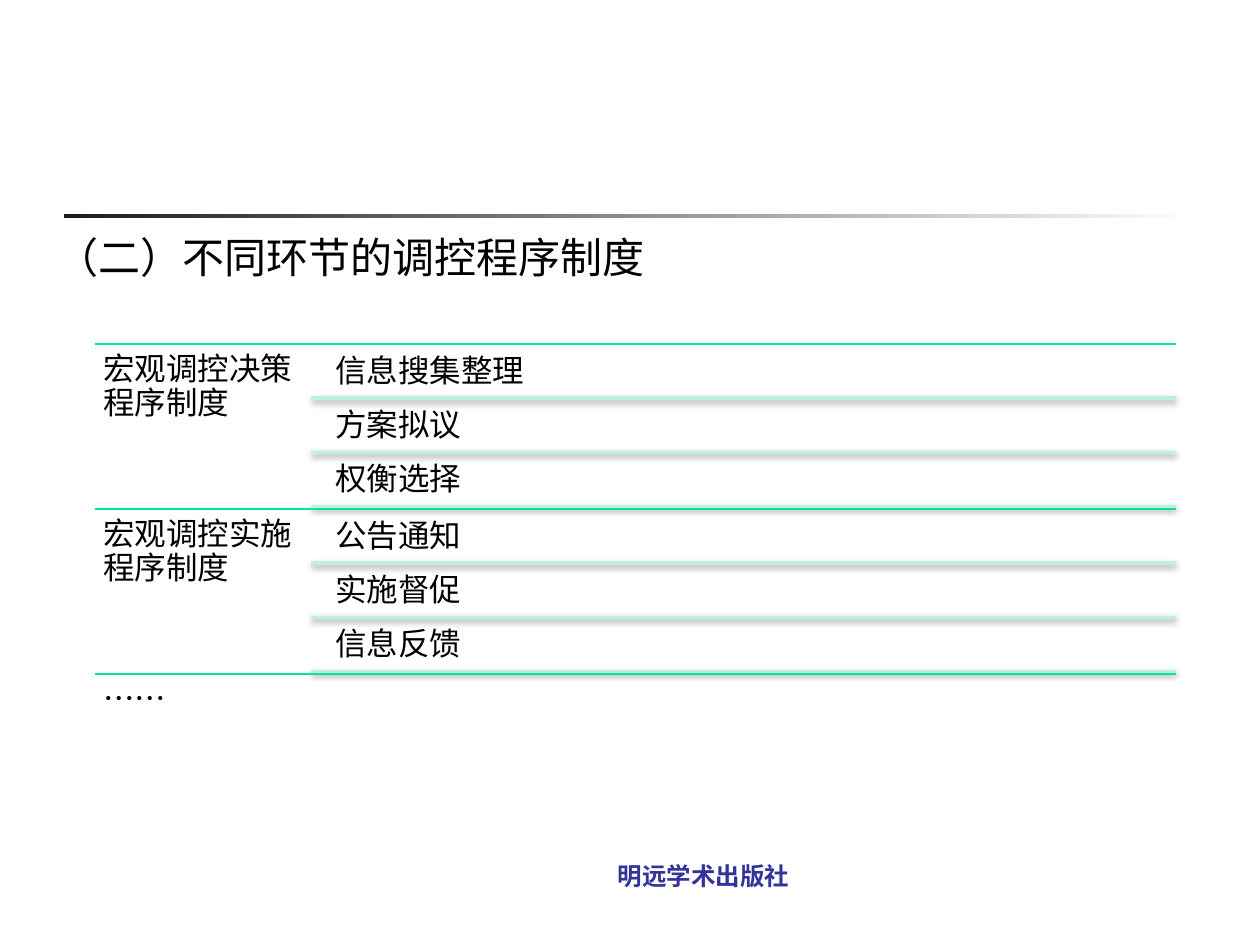
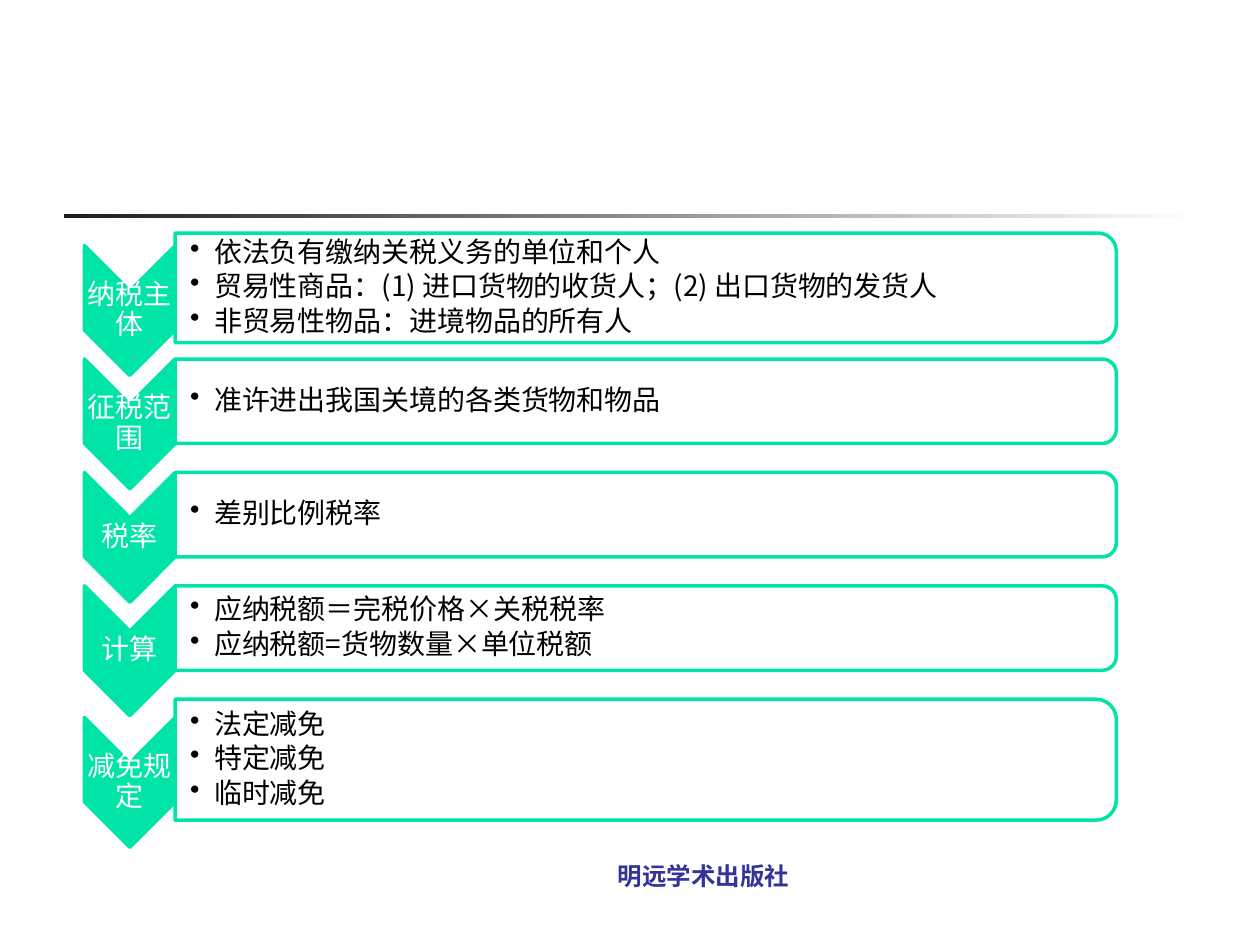
from lxml import etree
from pptx import Presentation
from pptx.dml.color import RGBColor
from pptx.enum.shapes import MSO_CONNECTOR as CONN, MSO_SHAPE as SHAPE
from pptx.enum.text import MSO_ANCHOR as ANCHOR, PP_ALIGN as ALIGN
from pptx.oxml.ns import qn
from pptx.util import Inches, Pt

# Shared look
GREEN, MINT, NAVY = "00E4A8", "BDF2D9", "333399"
BLACK, WHITE, CHARCOAL = "000000", "FFFFFF", "1C1C1C"
CJK, LATIN = "Noto Sans CJK SC", "Karla"
TITLE_ONLY, BLANK = 5, 6
PUBLISHER = "明远学术出版社"

# Slide 1: outline grid, in inches
OUTLINE_LEFT, OUTLINE_RIGHT, OUTLINE_TOP = 0.75, 9.33, 2.73
STAGE_W, STAGE_H, STEP_H = 1.72, 1.31, 0.43
STAGES = [
    ("宏观调控决策程序制度", ["信息搜集整理", "方案拟议", "权衡选择"]),
    ("宏观调控实施程序制度", ["公告通知", "实施督促", "信息反馈"]),
    ("……", []),
]

# Slide 2: chevron list, in inches
CHEVRON_LEFT, CHEVRON_W, CHEVRON_H = 0.67, 0.72, 1.03
LIST_TOP, LIST_PITCH = 1.85, 0.9
PANEL_W, PANEL_H = 7.47, 0.67
TAX_ELEMENTS = [
    ("纳税主体", 0.87, ["依法负有缴纳关税义务的单位和个人",
                    "贸易性商品：(1) 进口货物的收货人；(2) 出口货物的发货人",
                    "非贸易性物品：进境物品的所有人"]),
    ("征税范围", PANEL_H, ["准许进出我国关境的各类货物和物品"]),
    ("税率", PANEL_H, ["差别比例税率"]),
    ("计算", PANEL_H, ["应纳税额＝完税价格×关税税率", "应纳税额=货物数量×单位税额"]),
    ("减免规定", 0.96, ["法定减免", "特定减免", "临时减免"]),
]


def rgb(hex_color):
    return RGBColor.from_string(hex_color)


def add_xml(parent, tag, **attrs):
    return etree.SubElement(parent, qn(tag), {k: str(v) for k, v in attrs.items()})


def write(tf, paragraphs, size=18, color=BLACK, bold=False, font=CJK, align=ALIGN.LEFT,
          anchor=ANCHOR.TOP, insets=(0.07, 0.07, 0.07, 0.07), spacing=0.9,
          after=0, bullet_indent=0):
    """Fill a text frame with one run per paragraph."""
    tf.word_wrap = True
    tf.vertical_anchor = anchor
    tf.margin_left, tf.margin_top, tf.margin_right, tf.margin_bottom = map(Inches, insets)
    for i, text in enumerate(paragraphs):
        p = tf.paragraphs[0] if i == 0 else tf.add_paragraph()
        if bullet_indent:
            pPr = p._p.get_or_add_pPr()
            pPr.set("marL", str(Inches(bullet_indent)))
            pPr.set("indent", str(-Inches(bullet_indent)))
            add_xml(pPr, "a:buChar", char="•")
        p.alignment, p.line_spacing = align, spacing
        p.space_before, p.space_after = Pt(0), Pt(after)
        r = p.add_run()
        r.text = text
        r.font.size, r.font.bold, r.font.name = Pt(size), bold, font
        r.font.color.rgb = rgb(color)
        add_xml(r._r.get_or_add_rPr(), "a:ea", typeface=CJK)


def add_text(s, box, paragraphs, **fmt):
    sp = s.shapes.add_textbox(*map(Inches, box))
    write(sp.text_frame, paragraphs, **fmt)
    return sp


def add_rule(s, x1, x2, y, color, width, alpha, distance):
    """Horizontal line with a soft shadow below it."""
    line = s.shapes.add_connector(CONN.STRAIGHT, *map(Inches, (x1, y, x2, y)))
    line.line.color.rgb = rgb(color)
    line.line.width = Pt(width)
    effects = add_xml(line._element.spPr, "a:effectLst")
    shadow = add_xml(effects, "a:outerShdw", blurRad=Pt(3.1), dist=Pt(distance),
                     dir=90 * 60000, rotWithShape=0)
    add_xml(add_xml(shadow, "a:srgbClr", val=BLACK), "a:alpha", val=alpha * 1000)


def add_turned(s, kind, left, top, w, h, fill):
    """Shape turned a quarter clockwise that covers the given upright box."""
    sp = s.shapes.add_shape(kind, Inches(left + (w - h) / 2), Inches(top + (h - w) / 2),
                            Inches(h), Inches(w))
    sp.rotation = 90
    sp.shadow.inherit = False
    sp.fill.solid()
    sp.fill.fore_color.rgb = rgb(fill)
    sp.line.color.rgb = rgb(GREEN)
    sp.line.width = Pt(2)
    return sp


def add_slide(prs, layout):
    """Slide with the shared fading band and publisher footer."""
    s = prs.slides.add_slide(prs.slide_layouts[layout])
    band = s.shapes.add_shape(SHAPE.RECTANGLE, *map(Inches, (0.51, 1.7, 9, 0.03)))
    band.shadow.inherit = False
    band.line.fill.background()
    band.fill.gradient()
    band.fill.gradient_angle = 0
    for stop, color, position in zip(band.fill.gradient_stops, (CHARCOAL, WHITE), (0, 1)):
        stop.color.rgb = rgb(color)
        stop.position = position
    add_text(s, (4, 6.83, 3.17, 0.5), [PUBLISHER], size=14, color=NAVY, bold=True,
             font=LATIN, align=ALIGN.CENTER, insets=(0.1, 0, 0.1, 0), spacing=1)
    return s


def add_stage(s, top, name, steps):
    add_rule(s, OUTLINE_LEFT, OUTLINE_RIGHT, top, GREEN, 0.75, 35, 1.8)
    add_text(s, (OUTLINE_LEFT, top, STAGE_W, STAGE_H), [name])
    steps_left = OUTLINE_LEFT + STAGE_W
    text_left = steps_left + 0.12
    for i, step in enumerate(steps):
        y = top + i * STEP_H
        add_text(s, (text_left, y + 0.02, OUTLINE_RIGHT - text_left, STEP_H - 0.02), [step])
        add_rule(s, steps_left, OUTLINE_RIGHT, y + STEP_H, MINT, 2, 38, 1.6)


def add_tax_element(s, top, chevron_top, name, height, points):
    add_turned(s, SHAPE.CHEVRON, CHEVRON_LEFT, chevron_top, CHEVRON_W, CHEVRON_H, GREEN)
    add_text(s, (CHEVRON_LEFT, chevron_top + CHEVRON_W / 2, CHEVRON_W, CHEVRON_H - CHEVRON_W),
             [name], size=16, color=WHITE, align=ALIGN.CENTER, anchor=ANCHOR.MIDDLE,
             insets=(0.01,) * 4)
    left = CHEVRON_LEFT + CHEVRON_W
    panel = add_turned(s, SHAPE.ROUND_2_SAME_RECTANGLE, left, top, PANEL_W, height, WHITE)
    color = panel._element.spPr.find(qn("a:solidFill")).find(qn("a:srgbClr"))
    add_xml(color, "a:alpha", val=90000)
    add_text(s, (left, top + 0.04, PANEL_W - 0.04, height - 0.08), points, size=16,
             anchor=ANCHOR.MIDDLE, insets=(0.12, 0.01, 0.01, 0.01), after=2.4,
             bullet_indent=0.19)


def build_procedures(prs):
    s = add_slide(prs, TITLE_ONLY)
    title = s.shapes.title
    title.left, title.top, title.width, title.height = map(Inches, (0.35, 1.75, 9.27, 0.65))
    write(title.text_frame, ["（二）不同环节的调控程序制度"], size=24, spacing=1.1,
          insets=(0.1, 0.05, 0.1, 0.05))
    for i, (name, steps) in enumerate(STAGES):
        add_stage(s, OUTLINE_TOP + i * STAGE_H, name, steps)


def build_tariff(prs):
    s = add_slide(prs, BLANK)
    top = LIST_TOP
    for name, height, points in TAX_ELEMENTS:
        chevron_top = top + (height - PANEL_H) / 2
        add_tax_element(s, top, chevron_top, name, height, points)
        top = chevron_top + LIST_PITCH


def main():
    prs = Presentation()
    prs.slide_width, prs.slide_height = Inches(10), Inches(7.5)
    build_procedures(prs)
    build_tariff(prs)
    prs.save("out.pptx")


if __name__ == "__main__":
    main()
